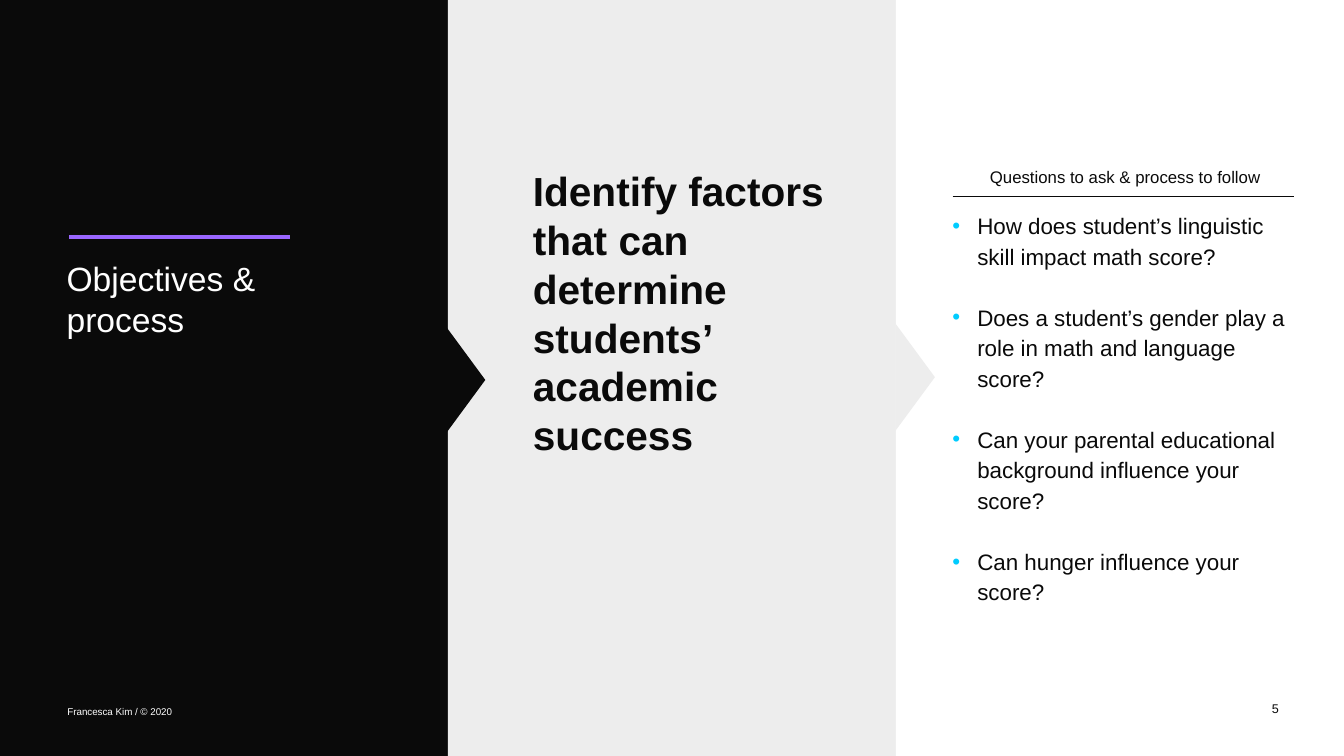
from dataclasses import dataclass

from lxml import etree
from pptx import Presentation
from pptx import util as u
from pptx.dml.color import RGBColor
from pptx.enum import shapes, text
from pptx.oxml.ns import qn


@dataclass(frozen=True)
class Theme:
    font: str = "Arial"
    ink: str = "0A0A0A"
    mist: str = "EDEDED"
    white: str = "FFFFFF"
    violet: str = "9966FF"
    cyan: str = "00CCFF"
    heading: int = 29
    title: int = 24
    body: int = 16
    label: int = 12
    number: int = 9
    footer: int = 7


theme = Theme()
WIDTH, HEIGHT = 33.87, 19.05
PANEL = WIDTH / 3

deck = Presentation()
deck.slide_width, deck.slide_height = u.Cm(WIDTH), u.Cm(HEIGHT)
page = deck.slides.add_slide(deck.slide_layouts[6])


def add_block(kind, area, color):
    """Add a flat, unlined shape; area is left, top, width, height in cm."""
    block = page.shapes.add_shape(kind, *map(u.Cm, area))
    block.shadow.inherit = False
    block.fill.solid()
    block.fill.fore_color.rgb = RGBColor.from_string(color)
    block.line.fill.background()
    return block


def add_text(area, lines, size, color=theme.ink, bold=False, align="LEFT",
             anchor="TOP", insets=(0.25, 0.13)):
    """Add a wrapped text box, one paragraph per line, and return its paragraphs."""
    box = page.shapes.add_textbox(*map(u.Cm, area))
    frame = box.text_frame
    side, edge = map(u.Cm, insets)
    frame_format = {
        "word_wrap": True,
        "vertical_anchor": text.MSO_ANCHOR[anchor],
        "margin_left": side, "margin_right": side,
        "margin_top": edge, "margin_bottom": edge,
    }
    for name, value in frame_format.items():
        setattr(frame, name, value)
    frame.text = "\n".join(lines)
    for para in frame.paragraphs:
        para.alignment = text.PP_ALIGN[align]
        for span in para.runs:
            font_format = {"name": theme.font, "size": u.Pt(size), "bold": bold}
            for name, value in font_format.items():
                setattr(span.font, name, value)
            span.font.color.rgb = RGBColor.from_string(color)
    return frame.paragraphs


# Three equal panels
for index, color in enumerate((theme.ink, theme.mist, theme.white)):
    add_block(shapes.MSO_SHAPE.RECTANGLE, (index * PANEL, 0, PANEL, HEIGHT), color)

# Arrow tips pointing into the next panel
for left, top, color in ((10.39, 9.08, theme.ink), (21.72, 9.01, theme.mist)):
    tip = add_block(shapes.MSO_SHAPE.ISOSCELES_TRIANGLE, (left, top, 2.69, 0.99), color)
    tip.rotation = 90

# Rules above the title and below the label
for start, end, y, color, weight in (
    (1.74, 7.31, 5.97, theme.violet, 3),
    (24.01, 32.62, 4.96, theme.ink, 0.75),
):
    rule = page.shapes.add_connector(
        shapes.MSO_CONNECTOR.STRAIGHT, u.Cm(start), u.Cm(y), u.Cm(end), u.Cm(y))
    rule.line.color.rgb = RGBColor.from_string(color)
    rule.line.width = u.Pt(weight)
    etree.SubElement(rule._element.spPr, qn("a:effectLst"))

add_text((1.43, 6.38, 7.56, 2.31), ["Objectives & process"], theme.title, theme.white)
add_text((13.18, 4.06, 8.71, 8.46),
         ["Identify factors that can determine students’ academic", "success"],
         theme.heading, bold=True)
add_text((23.75, 4.06, 9.22, 0.77), ["Questions to ask & process to follow"],
         theme.label, align="CENTER")

questions = add_text((23.75, 5.13, 9.22, 9.55), [
    "How does student’s linguistic skill impact math score?",
    "Does a student’s gender play a role in math and language score?",
    "Can your parental educational background influence your score?",
    "Can hunger influence your score?",
], theme.body)
for para in questions:
    para.line_spacing = 1.14
    para.space_after = u.Pt(21.6)
    properties = para._p.get_or_add_pPr()
    properties.set("marL", str(u.Cm(0.63)))
    properties.set("indent", str(u.Cm(-0.63)))
    bullet_color = etree.SubElement(properties, qn("a:buClr"))
    etree.SubElement(bullet_color, qn("a:srgbClr"), val=theme.cyan)
    etree.SubElement(properties, qn("a:buFont"), typeface=theme.font)
    etree.SubElement(properties, qn("a:buChar"), char="•")

add_text((1.7, 17.78, 9.73, 0.28), ["Francesca Kim / © 2020"], theme.footer,
         theme.white, insets=(0, 0))
add_text((24.61, 17.65, 7.62, 0.38), ["5"], theme.number, align="RIGHT",
         anchor="MIDDLE", insets=(0, 0))

deck.save("out.pptx")
